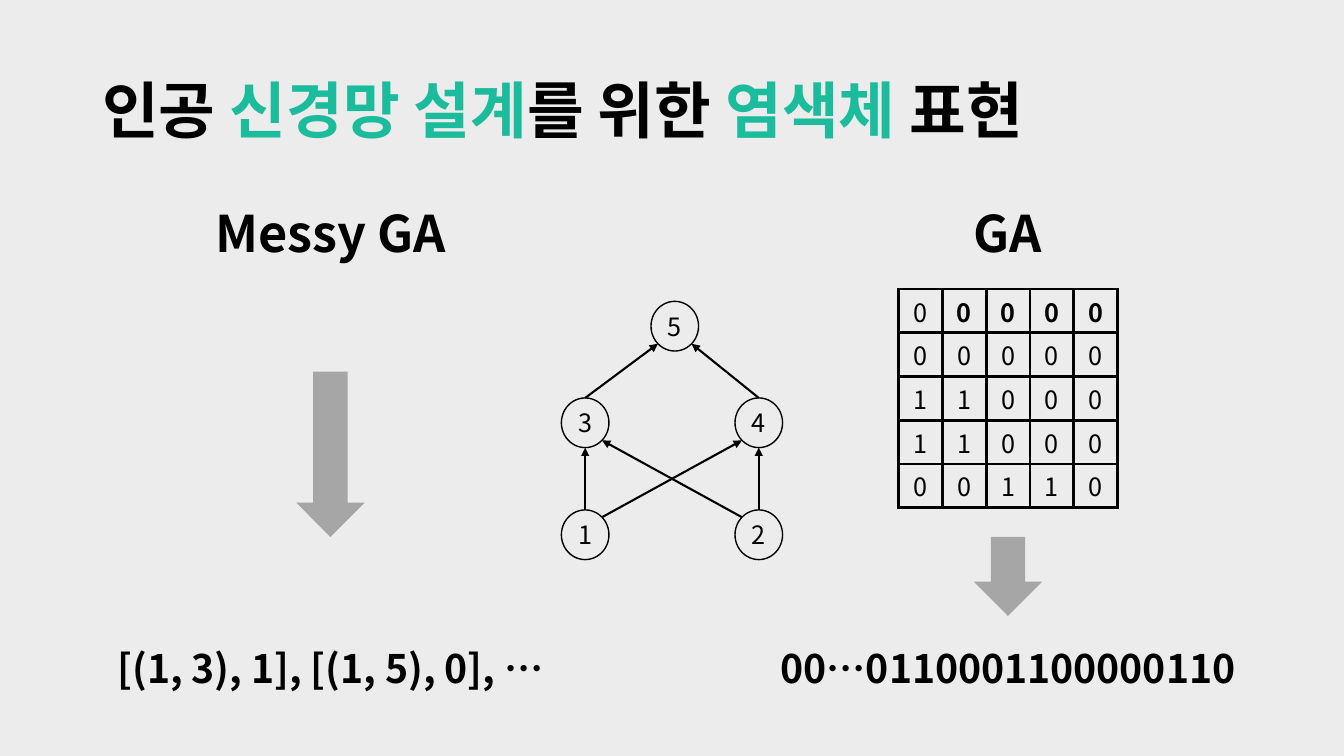
from dataclasses import dataclass
from math import sqrt

from lxml.etree import SubElement as Sub
from pptx import Presentation
from pptx.dml.color import RGBColor as Color
from pptx.enum.shapes import MSO_CONNECTOR as Link, MSO_SHAPE as Form
from pptx.enum.text import MSO_ANCHOR as Anchor, MSO_AUTO_SIZE as Auto, PP_ALIGN as Align
from pptx.oxml.ns import qn
from pptx.util import Pt


@dataclass(frozen=True)
class Theme:
    font: str = "Noto Sans CJK KR"
    back: Color = Color(0xEC, 0xEC, 0xEC)
    ink: Color = Color(0, 0, 0)
    teal: Color = Color(0x1B, 0xBC, 0x9B)
    gray: Color = Color(0xA6, 0xA6, 0xA6)
    title: int = 44
    head: int = 36
    code: int = 28
    label: int = 18


LOOK = Theme()
TITLE = [("인공 ", LOOK.ink), ("신경망 설계", LOOK.teal), ("를 위한 ", LOOK.ink),
         ("염색체 ", LOOK.teal), ("표현", LOOK.ink)]
MATRIX = ["00000", "00000", "11000", "11000", "00110"]
CELL = 31.25
NODE_W, NODE_H = 34, 35.5
NODES = {"5": (482, 233), "3": (418, 302), "4": (542, 302),
         "1": (418, 382), "2": (542, 382)}
# Each edge: start node, side it leaves, end node, side it enters.
EDGES = [("3", (0, -1), "5", (-1, 1)), ("4", (0, -1), "5", (1, 1)),
         ("1", (0, -1), "3", (0, 1)), ("2", (0, -1), "4", (0, 1)),
         ("2", (-1, -1), "3", (1, 1)), ("1", (1, -1), "4", (-1, 1))]


def points(*sizes):
    return [Pt(size) for size in sizes]


def write(frame, text, size=LOOK.label, bold=False, align=Align.CENTER,
          anchor=Anchor.MIDDLE, space=None):
    """Fill a frame with one paragraph: a string, or (text, colour) runs."""
    frame.vertical_anchor = anchor
    para = frame.paragraphs[0]
    para.alignment = align
    para.line_spacing = space
    for words, color in [(text, LOOK.ink)] if isinstance(text, str) else text:
        run = para.add_run()
        run.text = words
        font = run.font
        font.name, font.size, font.bold = LOOK.font, Pt(size), bold
        font.color.rgb = color
        Sub(font._element, qn("a:ea"), typeface=LOOK.font)


def add_text(slide, box, text, wrap=True, grow=True, **form):
    frame = slide.shapes.add_textbox(*points(*box)).text_frame
    frame.word_wrap = wrap
    frame.auto_size = Auto.SHAPE_TO_FIT_TEXT if grow else Auto.NONE
    write(frame, text, bold=True, **form)


def add_form(shapes, kind, box, fill, line=None):
    shape = shapes.add_shape(kind, *points(*box))
    shape.shadow.inherit = False
    shape.fill.solid()
    shape.fill.fore_color.rgb = fill
    if line:
        shape.line.color.rgb = LOOK.ink
        shape.line.width = Pt(line)
    else:
        shape.line.fill.background()
    return shape


def add_node(shapes, name, x, y):
    box = x - NODE_W / 2, y - NODE_H / 2, NODE_W, NODE_H
    frame = add_form(shapes, Form.OVAL, box, LOOK.back, line=1).text_frame
    frame.margin_left = frame.margin_right = 0
    frame.margin_top = frame.margin_bottom = 0
    write(frame, name)


def rim(name, side):
    """Point on a node's outline in the direction of side."""
    (x, y), (dx, dy) = NODES[name], side
    size = sqrt(dx * dx + dy * dy)
    return x + NODE_W / 2 * dx / size, y + NODE_H / 2 * dy / size


def add_edge(shapes, start, leave, end, enter):
    ends = points(*rim(start, leave), *rim(end, enter))
    edge = shapes.add_connector(Link.STRAIGHT, *ends)
    edge.line.color.rgb = LOOK.ink
    edge.line.width = Pt(1.5)
    Sub(edge.line._get_or_add_ln(), qn("a:tailEnd"), type="triangle")
    Sub(edge._element.spPr, qn("a:effectLst"))


def add_graph(slide):
    shapes = slide.shapes.add_group_shape().shapes
    for name, (x, y) in NODES.items():
        add_node(shapes, name, x, y)
    for edge in EDGES:
        add_edge(shapes, *edge)


def frame_cell(cell):
    props = cell._tc.get_or_add_tcPr()
    for side in ("a:lnL", "a:lnR", "a:lnT", "a:lnB"):
        line = Sub(props, qn(side), w=str(Pt(2.25)))
        fill = Sub(line, qn("a:solidFill"))
        Sub(fill, qn("a:srgbClr"), val=str(LOOK.ink))


def add_matrix(slide, left, top):
    count = len(MATRIX)
    box = points(left, top, CELL * count, CELL * count)
    table = slide.shapes.add_table(count, count, *box).table
    table.first_row = table.horz_banding = False
    for row, digits in enumerate(MATRIX):
        table.rows[row].height = table.columns[row].width = Pt(CELL)
        for col, digit in enumerate(digits):
            cell = table.cell(row, col)
            cell.margin_left = cell.margin_right = 0
            cell.margin_top = cell.margin_bottom = 0
            cell.vertical_anchor = Anchor.MIDDLE
            frame_cell(cell)
            cell.fill.background()
            write(cell.text_frame, digit, bold=row == 0 and col > 0, anchor=None)


def main():
    deck = Presentation()
    deck.slide_width, deck.slide_height = points(960, 540)
    slide = deck.slides.add_slide(deck.slide_layouts[6])
    slide.background.fill.solid()
    slide.background.fill.fore_color.rgb = LOOK.back

    add_text(slide, (66, 28.75, 828, 104.4), TITLE, grow=False,
             size=LOOK.title, align=Align.LEFT, space=0.9)
    for left, width, text in [(145.5, 181, "Messy GA"), (688.5, 63, "GA")]:
        add_text(slide, (left, 141, width, 51), text, wrap=False,
                 size=LOOK.head, anchor=Anchor.TOP)
    add_matrix(slide, 642, 206.5)
    for left, text in [(544.5, "00…0110001100000110"),
                       (60.5, "[(1, 3), 1], [(1, 5), 0], …")]:
        add_text(slide, (left, 457, 351, 41), text,
                 size=LOOK.code, anchor=Anchor.TOP)
    for left, top, tall in [(695.5, 383.5, 56.5), (211.5, 265.5, 118)]:
        add_form(slide.shapes, Form.DOWN_ARROW, (left, top, 49, tall), LOOK.gray)
    add_graph(slide)
    deck.save("out.pptx")


if __name__ == "__main__":
    main()
